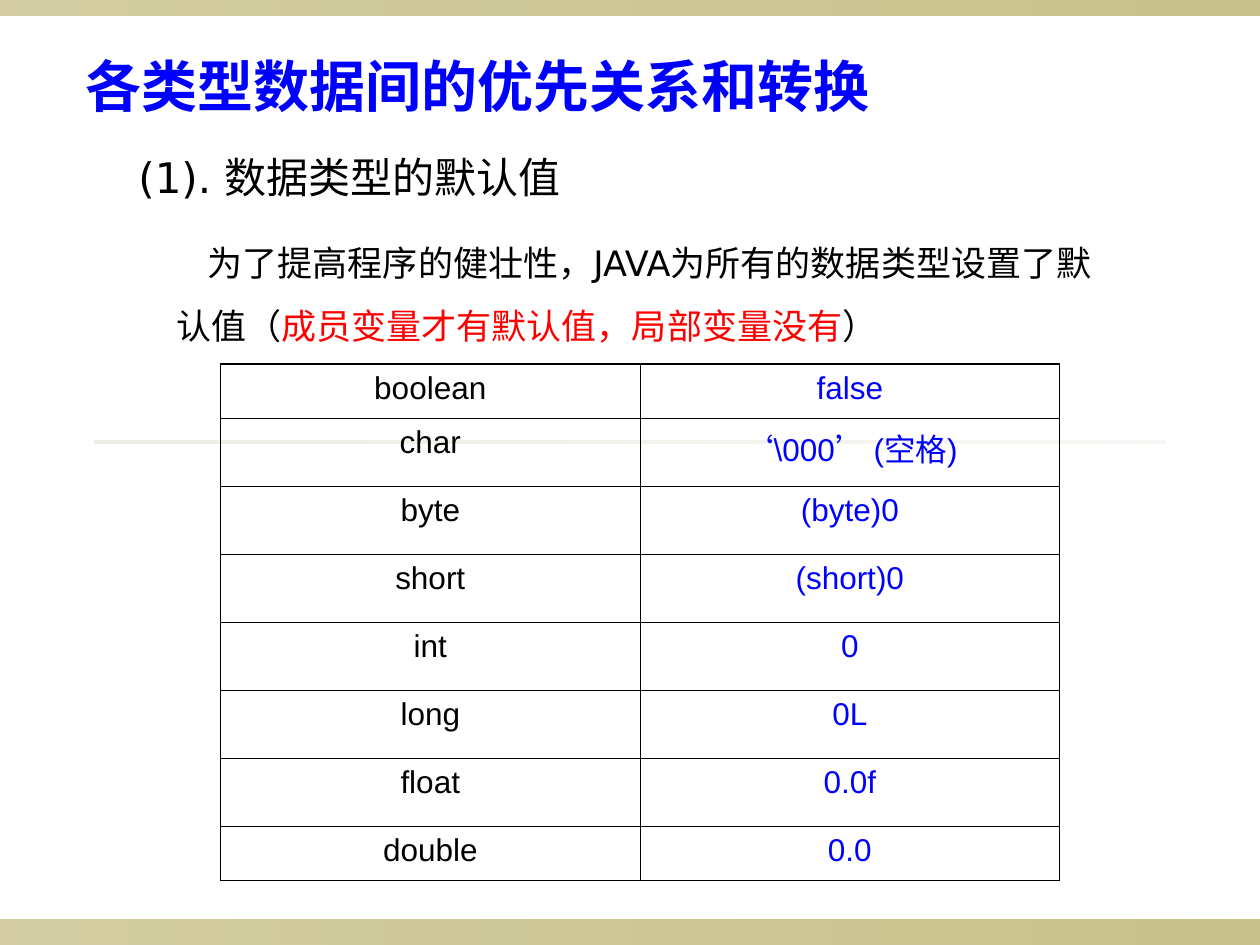
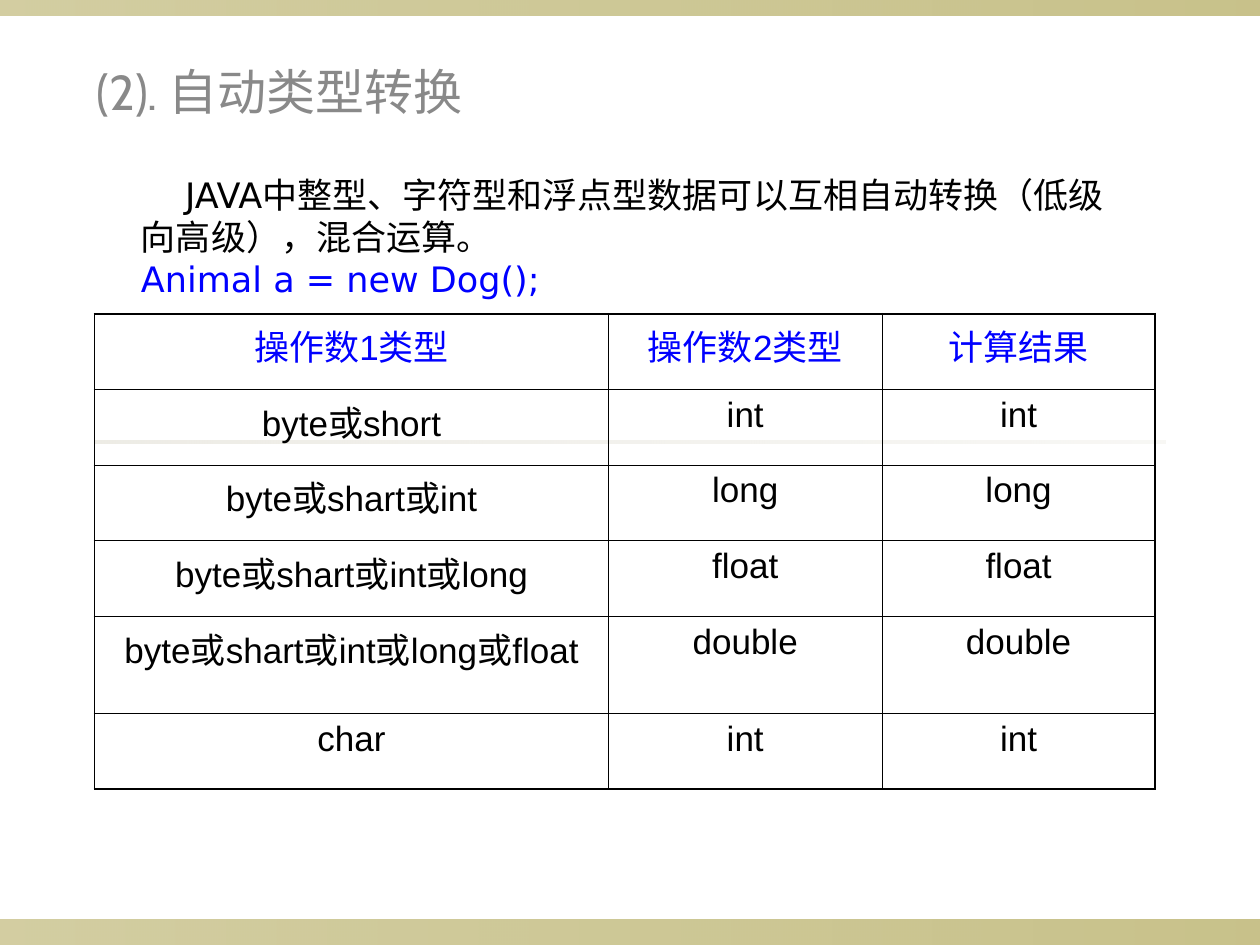
"""Build two slides on default values and automatic conversion of Java data types."""
import pptx
import pptx.dml.color
import pptx.enum.shapes
import pptx.enum.text
import pptx.oxml
import pptx.oxml.ns
import pptx.util
from pptx.util import Inches

COLOURS = {"black": "000000", "blue": "0000FF", "red": "FF0000",
           "grey": "898989", "olive": "918415", "sand": "DCD9CC"}
TITLE_FONT, BODY_FONT, TABLE_FONT = "Cabin", "DejaVu Sans", "Arial"
OUTER_LINE, INNER_LINE = 1.08, 0.45

DEFAULT_VALUES = [
    ("boolean", "false"),
    ("char", [("‘", "blue", BODY_FONT), ("\\000", "blue", TABLE_FONT),
              ("’ ", "blue", BODY_FONT), ("(空格)", "blue", TABLE_FONT)]),
    ("byte", "(byte)0"),
    ("short", "(short)0"),
    ("int", "0"),
    ("long", "0L"),
    ("float", "0.0f"),
    ("double", "0.0"),
]
CONVERSIONS = [
    ("操作数1类型", "操作数2类型", "计算结果"),
    ("byte或short", "int", "int"),
    ("byte或shart或int", "long", "long"),
    ("byte或shart或int或long", "float", "float"),
    ("byte或shart或int或long或float", "double", "double"),
    ("char", "int", "int"),
]


def rgb(name):
    """Return the named colour."""
    return pptx.dml.color.RGBColor.from_string(COLOURS[name])


def write_spans(para, spans, size, bold=False):
    """Fill a paragraph with (text, colour, font) spans."""
    for text, colour, font in spans:
        span = para.add_run()
        span.text = text
        span.font.size = pptx.util.Pt(size)
        span.font.name = font
        span.font.bold = bold
        span.font.color.rgb = rgb(colour)


def add_band(page, left, top, width, height, colour, opacities):
    """Add a bar that changes opacity from left to right."""
    band = page.shapes.add_shape(pptx.enum.shapes.MSO_SHAPE.RECTANGLE,
                                 Inches(left), Inches(top), Inches(width), Inches(height))
    band.shadow.inherit = False
    band.line.fill.background()
    band.fill.gradient()
    band.fill.gradient_angle = 0
    for stop in band.fill.gradient_stops:
        stop.color.rgb = rgb(colour)
    tints = band._element.spPr.iter(pptx.oxml.ns.qn("a:srgbClr"))
    for tint, opacity in zip(tints, opacities):
        alpha = pptx.oxml.parse_xml(
            f'<a:alpha {pptx.oxml.ns.nsdecls("a")} val="{opacity * 1000}"/>')
        tint.append(alpha)


def add_page(deck):
    """Add a blank page with the shared bands."""
    page = deck.slides.add_slide(deck.slide_layouts[6])
    add_band(page, 0, 7.3, 10, 0.2, "olive", (40, 50))
    add_band(page, 0, 0, 10, 0.12, "olive", (40, 50))
    add_band(page, 0.75, 3.5, 8.5, 0.02, "sand", (50, 20))
    return page


def add_text(page, place, paragraphs, size, bold=False, indent=0, spacing=None):
    """Add a wrapped text box whose first line may be indented."""
    box = page.shapes.add_textbox(*map(Inches, place))
    frame = box.text_frame
    frame.word_wrap = True
    for number, spans in enumerate(paragraphs):
        para = frame.add_paragraph() if number else frame.paragraphs[0]
        if indent and number == 0:
            para._p.get_or_add_pPr().set("indent", str(Inches(indent)))
        if spacing:
            para.line_spacing = spacing
        write_spans(para, spans, size, bold)


def set_borders(cell, outer_sides):
    """Draw all four borders of a cell, heavier on the outer sides."""
    properties = cell._tc.get_or_add_tcPr()
    for side in "LRTB":
        width = pptx.util.Pt(OUTER_LINE if side in outer_sides else INNER_LINE)
        properties.append(pptx.oxml.parse_xml(
            f'<a:ln{side} {pptx.oxml.ns.nsdecls("a")} w="{width}"><a:solidFill>'
            f'<a:srgbClr val="{COLOURS["black"]}"/></a:solidFill></a:ln{side}>'))


def add_grid(page, left, top, widths, heights, rows, size, colour_of):
    """Add a centred, unfilled table, coloured by row and column."""
    table = page.shapes.add_table(len(heights), len(widths), Inches(left), Inches(top),
                                  Inches(sum(widths)), Inches(sum(heights))).table
    table.first_row = table.horz_banding = False
    for column, width in zip(table.columns, widths):
        column.width = Inches(width)
    for r, (height, row) in enumerate(zip(heights, rows)):
        table.rows[r].height = Inches(height)
        for c, content in enumerate(row):
            cell = table.cell(r, c)
            edges = {"L": c == 0, "R": c == len(widths) - 1,
                     "T": r == 0, "B": r == len(heights) - 1}
            set_borders(cell, [side for side, outer in edges.items() if outer])
            cell.fill.background()
            para = cell.text_frame.paragraphs[0]
            para.alignment = pptx.enum.text.PP_ALIGN.CENTER
            if isinstance(content, str):
                content = [(content, colour_of(r, c), TABLE_FONT)]
            write_spans(para, content, size)


def build_default_values(deck):
    """Build the page on default values."""
    page = add_page(deck)
    add_text(page, (0.58, 0.36, 7.83, 0.75),
             [[("各类型数据间的优先关系和转换", "blue", TITLE_FONT)]], 32, bold=True)
    add_text(page, (1, 1.15, 5.39, 0.5),
             [[("(1). 数据类型的默认值", "black", BODY_FONT)]], 24)
    add_text(page, (1.3, 1.7, 7.61, 1.1), [[
        ("为了提高程序的健壮性，JAVA为所有的数据类型设置了默认值（", "black", BODY_FONT),
        ("成员变量才有默认值，局部变量没有", "red", BODY_FONT),
        ("）", "black", BODY_FONT)]], 20, indent=0.25, spacing=1.5)
    heights = [0.43] + [0.54] * 6 + [0.43]
    add_grid(page, 1.75, 2.89, [3.33] * 2, heights, DEFAULT_VALUES, 18,
             lambda r, c: "blue" if c else "black")


def build_conversions(deck):
    """Build the page on automatic conversion."""
    page = add_page(deck)
    add_text(page, (0.67, 0.44, 7, 0.67),
             [[("(2). 自动类型转换", "grey", TITLE_FONT)]], 28)
    add_text(page, (1.02, 1.33, 8.02, 1.1), [
        [("JAVA中整型、字符型和浮点型数据可以互相自动转换（低级向高级），混合运算。",
          "black", BODY_FONT)],
        [("Animal a = new Dog();", "blue", BODY_FONT)]], 20, indent=0.35)
    heights = [0.6] * 4 + [0.77, 0.6]
    add_grid(page, 0.75, 2.49, [4.08, 2.17, 2.17], heights, CONVERSIONS, 20,
             lambda r, c: "black" if r else "blue")


def main():
    """Build and save the deck."""
    deck = pptx.Presentation()
    deck.slide_width, deck.slide_height = Inches(10), Inches(7.5)
    build_default_values(deck)
    build_conversions(deck)
    deck.save("out.pptx")


if __name__ == "__main__":
    main()
